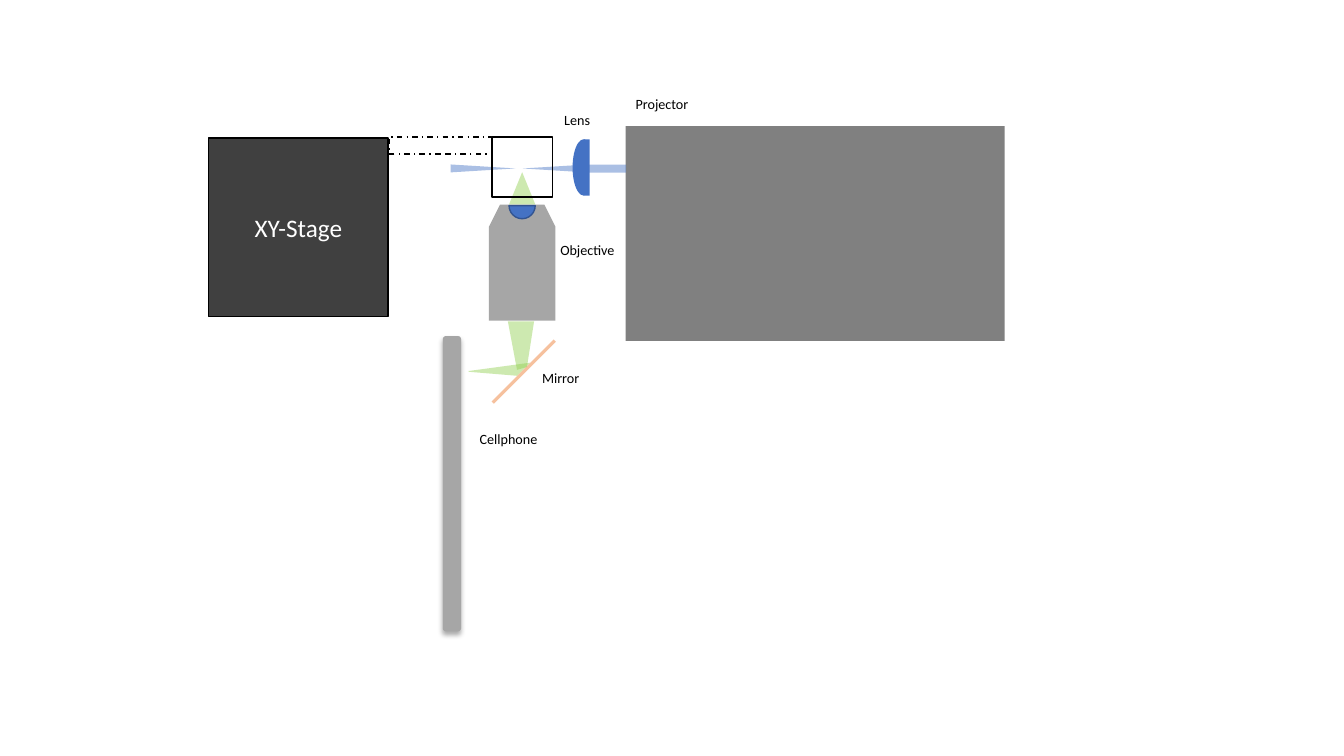
from dataclasses import dataclass
from typing import Optional

from lxml.etree import SubElement
from pptx import Presentation
from pptx.dml.color import RGBColor
from pptx.enum.dml import MSO_LINE
from pptx.enum.shapes import MSO_SHAPE
from pptx.enum.text import MSO_ANCHOR, MSO_AUTO_SIZE, PP_ALIGN
from pptx.oxml.ns import qn
from pptx.shapes.autoshape import Shape
from pptx.slide import Slide
from pptx.text.text import TextFrame
from pptx.util import Cm, Pt

BLACK = RGBColor(0x00, 0x00, 0x00)
WHITE = RGBColor(0xFF, 0xFF, 0xFF)
LIGHT_GRAY = RGBColor(0xA6, 0xA6, 0xA6)
GRAY = RGBColor(0x80, 0x80, 0x80)
DARK_GRAY = RGBColor(0x40, 0x40, 0x40)
BLUE = RGBColor(0x44, 0x72, 0xC4)
DARK_BLUE = RGBColor(0x32, 0x54, 0x91)
GREEN = RGBColor(0x92, 0xD0, 0x50)
ORANGE = RGBColor(0xED, 0x7D, 0x31)
FONT_NAME = "Calibri"
LIGHT_OPACITY = 45
LABEL_HEIGHT = 0.69


@dataclass(frozen=True)
class Part:
    """One preset shape of the setup; lengths in cm, opacity in percent."""
    kind: MSO_SHAPE
    left: float
    top: float
    width: float
    height: float
    fill: Optional[RGBColor] = None
    line: Optional[RGBColor] = None
    opacity: int = 100
    rotation: float = 0
    adjustments: tuple[float, ...] = ()
    dash: Optional[MSO_LINE] = None
    text: str = ""
    shadow: bool = False


@dataclass(frozen=True)
class LightPath:
    """A green ray outlined by corner points in cm."""
    points: tuple[tuple[float, float], ...]


@dataclass(frozen=True)
class Label:
    text: str
    left: float
    top: float
    width: float


LIGHT_PATHS = (
    LightPath(((12.8, 8.1), (13.03, 9.32), (13.28, 9.25), (13.46, 8.1))),
    LightPath(((11.81, 9.35), (13.36, 9.14), (13.03, 9.47), (11.81, 9.37))),
)

PARTS = (
    # Objective
    Part(MSO_SHAPE.RECTANGLE, 12.32, 5.72, 1.68, 2.36, LIGHT_GRAY),
    Part(MSO_SHAPE.TRAPEZOID, 12.32, 5.16, 1.68, 0.56, LIGHT_GRAY, adjustments=(0.5,)),
    Part(MSO_SHAPE.PIE, 12.83, 4.85, 0.66, 0.66, BLUE, DARK_BLUE, rotation=270,
         adjustments=(53.91, 162)),
    Part(MSO_SHAPE.ISOSCELES_TRIANGLE, 12.83, 4.34, 0.66, 0.81, GREEN,
         opacity=LIGHT_OPACITY),
    # Mirror
    Part(MSO_SHAPE.RECTANGLE, 13.16, 8.26, 0.08, 2.21, ORANGE, opacity=47, rotation=45),
    # Lens
    Part(MSO_SHAPE.RECTANGLE, 14.71, 3.51, 0.15, 1.42, BLUE),
    Part(MSO_SHAPE.CHORD, 14.43, 3.51, 0.56, 1.42, BLUE, adjustments=(53.35, 164.3)),
    # Projector and its beam
    Part(MSO_SHAPE.RECTANGLE, 15.77, 3.18, 9.55, 5.41, GRAY),
    Part(MSO_SHAPE.ISOSCELES_TRIANGLE, 13.89, 3.43, 0.2, 1.63, BLUE,
         opacity=LIGHT_OPACITY, rotation=270),
    Part(MSO_SHAPE.ISOSCELES_TRIANGLE, 12.07, 3.43, 0.2, 1.63, BLUE,
         opacity=LIGHT_OPACITY, rotation=90),
    Part(MSO_SHAPE.RECTANGLE, 14.81, 4.15, 0.97, 0.2, BLUE, opacity=LIGHT_OPACITY),
    # Cellphone
    Part(MSO_SHAPE.ROUNDED_RECTANGLE, 11.16, 8.47, 0.46, 7.44, LIGHT_GRAY, shadow=True),
    # Sample, stage and holding arm
    Part(MSO_SHAPE.RECTANGLE, 12.4, 3.45, 1.52, 1.52, line=BLACK),
    Part(MSO_SHAPE.RECTANGLE, 5.26, 3.48, 4.52, 4.5, DARK_GRAY, BLACK, text="XY-Stage"),
    Part(MSO_SHAPE.RECTANGLE, 9.8, 3.45, 2.59, 0.43, line=BLACK, dash=MSO_LINE.DASH_DOT),
)

LABELS = (
    Label("Lens", 13.97, 2.67, 1.27),
    Label("Projector", 15.77, 2.29, 1.93),
    Label("Objective", 13.87, 5.97, 2.01),
    Label("Cellphone", 11.84, 10.72, 2.13),
    Label("Mirror", 13.41, 9.19, 1.45),
)


def style_fill(shape: Shape, color: RGBColor, opacity: int) -> None:
    shape.fill.solid()
    shape.fill.fore_color.rgb = color
    if opacity < 100:
        color_element = shape.element.spPr.find(qn("a:solidFill"))[0]
        SubElement(color_element, qn("a:alpha"), val=str(opacity * 1000))


def add_soft_shadow(shape: Shape) -> None:
    effects = shape.element.spPr.find(qn("a:effectLst"))
    shadow = SubElement(effects, qn("a:outerShdw"), blurRad=str(Pt(3.5)),
                        dist=str(Pt(2.2)), dir="5400000", rotWithShape="0")
    color_element = SubElement(shadow, qn("a:srgbClr"), val=str(BLACK))
    SubElement(color_element, qn("a:alpha"), val="32000")


def write_text(frame: TextFrame, text: str, size: float, color: RGBColor,
               alignment: PP_ALIGN) -> None:
    paragraph = frame.paragraphs[0]
    paragraph.alignment = alignment
    run = paragraph.add_run()
    run.text = text
    run.font.name = FONT_NAME
    run.font.size = Pt(size)
    run.font.color.rgb = color


def add_light_path(slide: Slide, light_path: LightPath) -> None:
    start, *others = [(Cm(x), Cm(y)) for x, y in light_path.points]
    builder = slide.shapes.build_freeform(*start)
    builder.add_line_segments(others, close=True)
    shape = builder.convert_to_shape()
    shape.shadow.inherit = False
    style_fill(shape, GREEN, LIGHT_OPACITY)
    shape.line.fill.background()


def add_part(slide: Slide, part: Part) -> None:
    shape = slide.shapes.add_shape(part.kind, Cm(part.left), Cm(part.top),
                                   Cm(part.width), Cm(part.height))
    shape.shadow.inherit = False
    shape.rotation = part.rotation
    for index, value in enumerate(part.adjustments):
        shape.adjustments[index] = value
    if part.fill is None:
        shape.fill.background()
    else:
        style_fill(shape, part.fill, part.opacity)
    if part.line is None:
        shape.line.fill.background()
    else:
        shape.line.color.rgb = part.line
        shape.line.width = Pt(1)
        if part.dash is not None:
            shape.line.dash_style = part.dash
    if part.shadow:
        add_soft_shadow(shape)
    if part.text:
        shape.text_frame.vertical_anchor = MSO_ANCHOR.MIDDLE
        write_text(shape.text_frame, part.text, 18, WHITE, PP_ALIGN.CENTER)


def add_label(slide: Slide, label: Label) -> None:
    box = slide.shapes.add_textbox(Cm(label.left), Cm(label.top),
                                   Cm(label.width), Cm(LABEL_HEIGHT))
    box.text_frame.word_wrap = False
    box.text_frame.auto_size = MSO_AUTO_SIZE.SHAPE_TO_FIT_TEXT
    write_text(box.text_frame, label.text, 10.1, BLACK, PP_ALIGN.LEFT)


def main() -> None:
    presentation = Presentation()
    presentation.slide_width = Cm(33.87)
    presentation.slide_height = Cm(19.05)
    blank_layout = presentation.slide_layouts[6]
    slide = presentation.slides.add_slide(blank_layout)
    for light_path in LIGHT_PATHS:
        add_light_path(slide, light_path)
    for part in PARTS:
        add_part(slide, part)
    for label in LABELS:
        add_label(slide, label)
    presentation.save("out.pptx")


if __name__ == "__main__":
    main()
